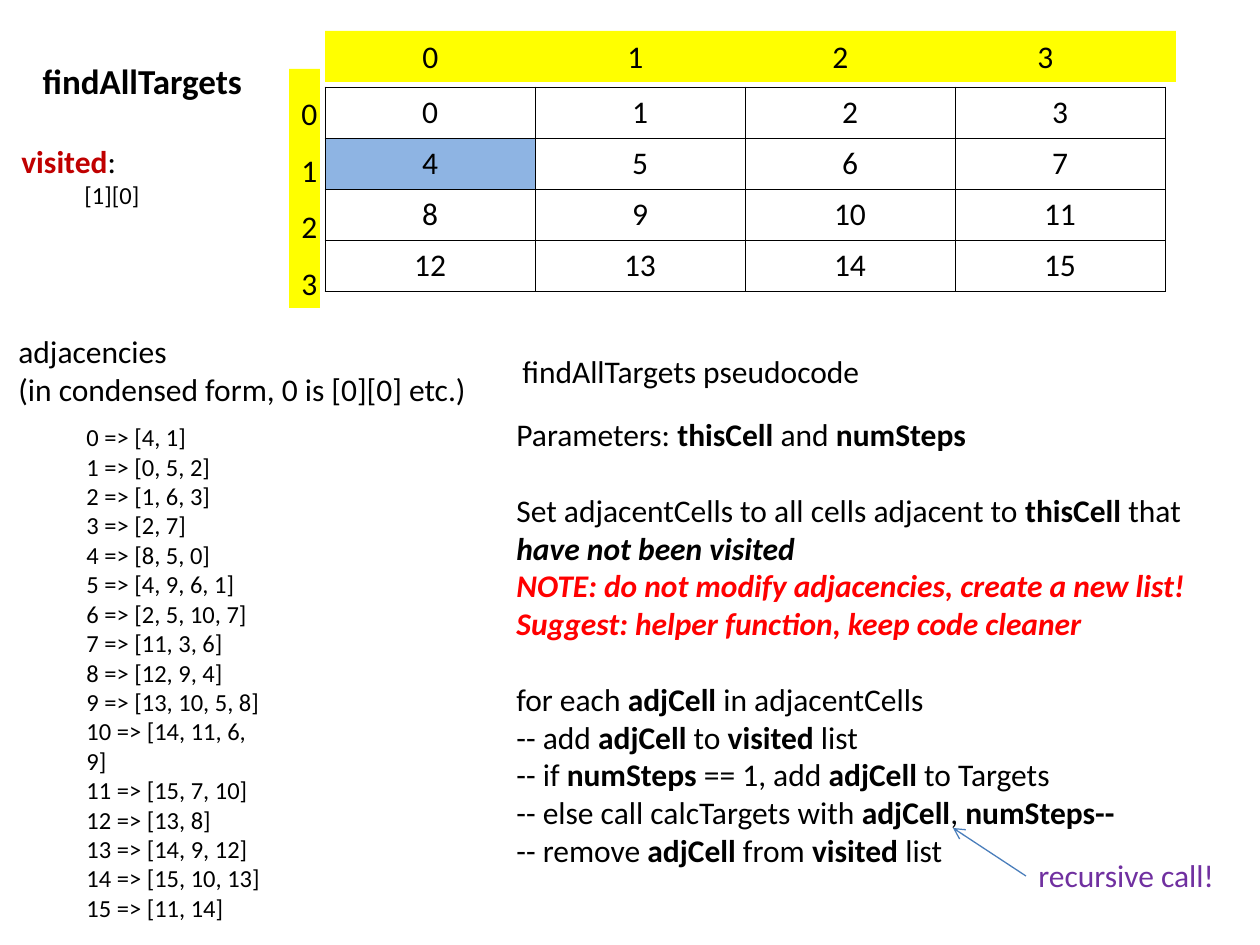
from lxml.etree import SubElement
from pptx import Presentation
from pptx.dml.color import RGBColor
from pptx.enum.shapes import MSO_CONNECTOR, MSO_SHAPE
from pptx.enum.text import MSO_ANCHOR, MSO_AUTO_SIZE, PP_ALIGN
from pptx.oxml.ns import qn
from pptx.util import Pt

EMU_PER_PX = 914400 / 126
BLACK, WHITE, YELLOW, RED = "000000", "FFFFFF", "FFFF00", "FF0000"
DARK_RED, PURPLE, BLUE, LIGHT_BLUE = "C00000", "7030A0", "4A7EBB", "8EB4E3"

GRID_SIZE = 4
GRID_LEFT, GRID_TOP, CELL_WIDTH, CELL_HEIGHT = 325, 87, 210, 51
VISITED_CELL = 4
BLANK_LINE = 21.6

ADJACENCIES = [
    [4, 1], [0, 5, 2], [1, 6, 3], [2, 7],
    [8, 5, 0], [4, 9, 6, 1], [2, 5, 10, 7], [11, 3, 6],
    [12, 9, 4], [13, 10, 5, 8], [14, 11, 6, 9], [15, 7, 10],
    [13, 8], [14, 9, 12], [15, 10, 13], [11, 14],
]

# Text between asterisks is bold.
PSEUDOCODE = [
    "Parameters: *thisCell* and *numSteps*",
    "Set adjacentCells to all cells adjacent to *thisCell* that *have not been visited*",
    "*NOTE: do not modify adjacencies, create a new list!*",
    "*Suggest: helper function, keep code cleaner*",
    "for each *adjCell* in adjacentCells",
    "-- add *adjCell* to *visited* list",
    "-- if *numSteps* == 1, add *adjCell* to Targets",
    "-- else call calcTargets with *adjCell*, *numSteps--*",
    "-- remove *adjCell* from *visited* list",
]


def px(length):
    return round(length * EMU_PER_PX)


def rgb(value):
    return RGBColor.from_string(value)


class SlideBuilder:
    font_name = "Calibri"
    size = 18

    def __init__(self, slide):
        self.slide = slide

    def style(self, run, size=None, color=BLACK, bold=False):
        run.font.name = self.font_name
        run.font.size = Pt(size or self.size)
        run.font.bold = bold
        run.font.color.rgb = rgb(color)

    def set_lines(self, frame, lines, size=None, color=BLACK):
        """Fill a frame with one paragraph a line, bold between asterisks."""
        for number, line in enumerate(lines):
            paragraph = frame.add_paragraph() if number else frame.paragraphs[0]
            paragraph.alignment = PP_ALIGN.LEFT
            for index, words in enumerate(line.split("*")):
                if words:
                    run = paragraph.add_run()
                    run.text = words
                    self.style(run, size, color, bold=index % 2 == 1)
        return frame.paragraphs

    def title(self, words, left, top, width, height, size):
        title = self.slide.shapes.title
        title.left, title.top = px(left), px(top)
        title.width, title.height = px(width), px(height)
        frame = title.text_frame
        frame.auto_size = MSO_AUTO_SIZE.NONE
        frame.vertical_anchor = MSO_ANCHOR.TOP
        frame.word_wrap = False
        self.set_lines(frame, [f"*{words}*"], size)

    def text(self, lines, left, top, width, height, size=None, color=BLACK, wrap=False):
        box = self.slide.shapes.add_textbox(px(left), px(top), px(width), px(height))
        box.text_frame.word_wrap = wrap
        return self.set_lines(box.text_frame, lines, size, color)

    def band(self, lines, left, top, width, height):
        band = self.slide.shapes.add_shape(
            MSO_SHAPE.RECTANGLE, px(left), px(top), px(width), px(height))
        band.shadow.inherit = False
        band.fill.solid()
        band.fill.fore_color.rgb = rgb(YELLOW)
        band.line.fill.background()
        band.text_frame.vertical_anchor = MSO_ANCHOR.TOP
        return self.set_lines(band.text_frame, lines)

    def centre_tabs(self, paragraph, stops):
        tab_list = SubElement(paragraph._p.get_or_add_pPr(), qn("a:tabLst"))
        for stop in stops:
            SubElement(tab_list, qn("a:tab"), pos=str(px(stop)), algn="ctr")

    def border(self, cell):
        properties = cell._tc.get_or_add_tcPr()
        for side in ("lnL", "lnR", "lnT", "lnB"):
            line = SubElement(properties, qn(f"a:{side}"), w=str(Pt(0.45)))
            fill = SubElement(line, qn("a:solidFill"))
            SubElement(fill, qn("a:srgbClr"), val=BLACK)

    def grid(self):
        table = self.slide.shapes.add_table(
            GRID_SIZE, GRID_SIZE, px(GRID_LEFT), px(GRID_TOP),
            px(GRID_SIZE * CELL_WIDTH), px(GRID_SIZE * CELL_HEIGHT)).table
        table.first_row = table.horz_banding = False
        for number, cell in enumerate(table.iter_cells()):
            cell.text_frame.text = str(number)
            paragraph = cell.text_frame.paragraphs[0]
            paragraph.alignment = PP_ALIGN.CENTER
            self.style(paragraph.runs[0])
            self.border(cell)
            cell.fill.solid()
            cell.fill.fore_color.rgb = rgb(LIGHT_BLUE if number == VISITED_CELL else WHITE)

    def arrow(self, start, end):
        arrow = self.slide.shapes.add_connector(
            MSO_CONNECTOR.STRAIGHT, *map(px, start + end))
        arrow.line.color.rgb = rgb(BLUE)
        arrow.line.width = Pt(0.75)
        SubElement(arrow.line._get_or_add_ln(), qn("a:tailEnd"), type="arrow")
        SubElement(arrow._element.spPr, qn("a:effectLst"))


def main():
    presentation = Presentation()
    presentation.slide_width, presentation.slide_height = px(1260), px(945)
    builder = SlideBuilder(presentation.slides.add_slide(presentation.slide_layouts[5]))

    builder.title("findAllTargets", 30, 53, 228, 55, size=20)
    builder.grid()
    indices = [str(index) for index in range(GRID_SIZE)]
    column_labels = builder.band(["\t" + "\t".join(indices)], GRID_LEFT, 31, 851, 51)
    builder.centre_tabs(column_labels[0], [93 + 205 * column for column in range(GRID_SIZE)])
    for row_label in builder.band(indices, 289, 69, 31, 239):
        row_label.line_spacing = 1.5

    visited, first_cell = builder.text(["*visited*:", "[1][0]"], 9, 136, 222, 81)
    visited.runs[0].font.color.rgb = rgb(DARK_RED)
    first_cell.runs[0].font.size = Pt(14)
    first_cell._p.get_or_add_pPr().set("marL", str(px(63)))

    builder.text(["adjacencies", "(in condensed form, 0 is [0][0] etc.)"], 6, 326, 474, 88)
    builder.text([f"{cell} => {neighbours}" for cell, neighbours in enumerate(ADJACENCIES)],
                 74, 416, 210, 484, size=14)

    builder.text(["findAllTargets pseudocode"], 510, 346, 365, 51)
    steps = builder.text(PSEUDOCODE, 504, 409, 725, 466, wrap=True)
    steps[1].runs[-1].font.italic = True
    for warning in steps[2:4]:
        warning.runs[0].font.italic = True
        warning.runs[0].font.color.rgb = rgb(RED)
    for section_start in (steps[1], steps[4]):
        section_start.space_before = Pt(BLANK_LINE)

    builder.text(["recursive call!"], 1026, 850, 202, 51, color=PURPLE)
    builder.arrow((1026, 876), (953, 828))
    presentation.save("out.pptx")


if __name__ == "__main__":
    main()
